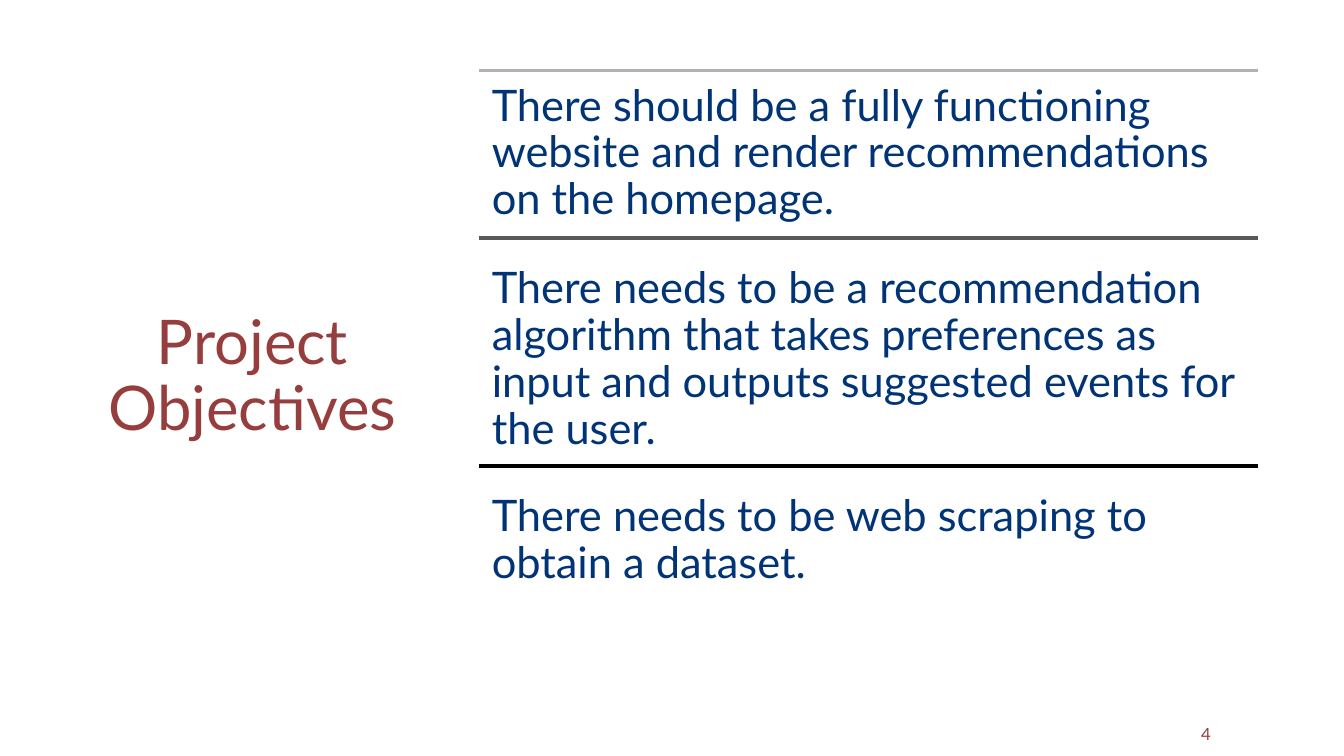
"""Build the project objectives slide."""
from pptx import Presentation
from pptx.dml.color import RGBColor as Color
from pptx.enum.shapes import MSO_CONNECTOR as Link
from pptx.enum.text import MSO_ANCHOR as Anchor, MSO_AUTO_SIZE as Fit, PP_ALIGN as Align
from pptx.util import Pt
from lxml import etree

TITLE = "Project Objectives"
GOALS = [
    ("There should be a fully functioning website and render "
     "recommendations on the homepage.", "B2B2B2", 50.4, 0),
    ("There needs to be a recommendation algorithm that takes preferences "
     "as input and outputs suggested events for the user.", "595959", 170, 10.8),
    ("There needs to be web scraping to obtain a dataset.",
     "000000", 332.6, 10.8),
]
PAGE = "4"
RED, BLUE = "963E3E", "003477"
LEFT, TOP, WIDTH, HIGH = 342, 50.4, 556.5, 146.4
NS = "{http://schemas.openxmlformats.org/drawingml/2006/main}"


def tint(code):
    return Color.from_string(code)


def write(box, text, size, hue, align, anchor, space=None, pad=None):
    frame = box.text_frame
    frame.text = text
    frame.word_wrap = True
    frame.auto_size = Fit.NONE
    frame.vertical_anchor = anchor
    if pad is not None:
        frame.margin_left = frame.margin_right = Pt(pad)
        frame.margin_top = frame.margin_bottom = Pt(pad)
    para = frame.paragraphs[0]
    para.alignment = align
    para.line_spacing = space
    font = para.runs[0].font
    font.name, font.size = "Lato", Pt(size)
    font.color.rgb = tint(hue)


def rule(slide, y, hue):
    line = slide.shapes.add_connector(
        Link.STRAIGHT, Pt(LEFT), Pt(y), Pt(LEFT + WIDTH), Pt(y))
    line.line.color.rgb = tint(hue)
    line.line.width = Pt(2.75)
    etree.SubElement(line._element.spPr, NS + "effectLst")


def main():
    deck = Presentation()
    deck.slide_width, deck.slide_height = Pt(960), Pt(540)
    slide = deck.slides.add_slide(deck.slide_layouts[5])

    title = slide.shapes.title
    title.left, title.top = Pt(50.4), Pt(TOP)
    title.width, title.height = Pt(260), Pt(3 * HIGH)
    write(title, TITLE, 44, RED, Align.CENTER, Anchor.MIDDLE, 0.89)

    for text, hue, y, gap in GOALS:
        rule(slide, y, hue)
        box = slide.shapes.add_textbox(
            Pt(LEFT), Pt(y + gap), Pt(WIDTH), Pt(HIGH))
        write(box, text, 31, BLUE, Align.LEFT, Anchor.TOP, 0.9, 9.3)

    page = slide.shapes.add_textbox(Pt(746), Pt(508.3), Pt(126), Pt(31.7))
    write(page, PAGE, 12, RED, Align.RIGHT, Anchor.MIDDLE)
    deck.save("out.pptx")


if __name__ == "__main__":
    main()
